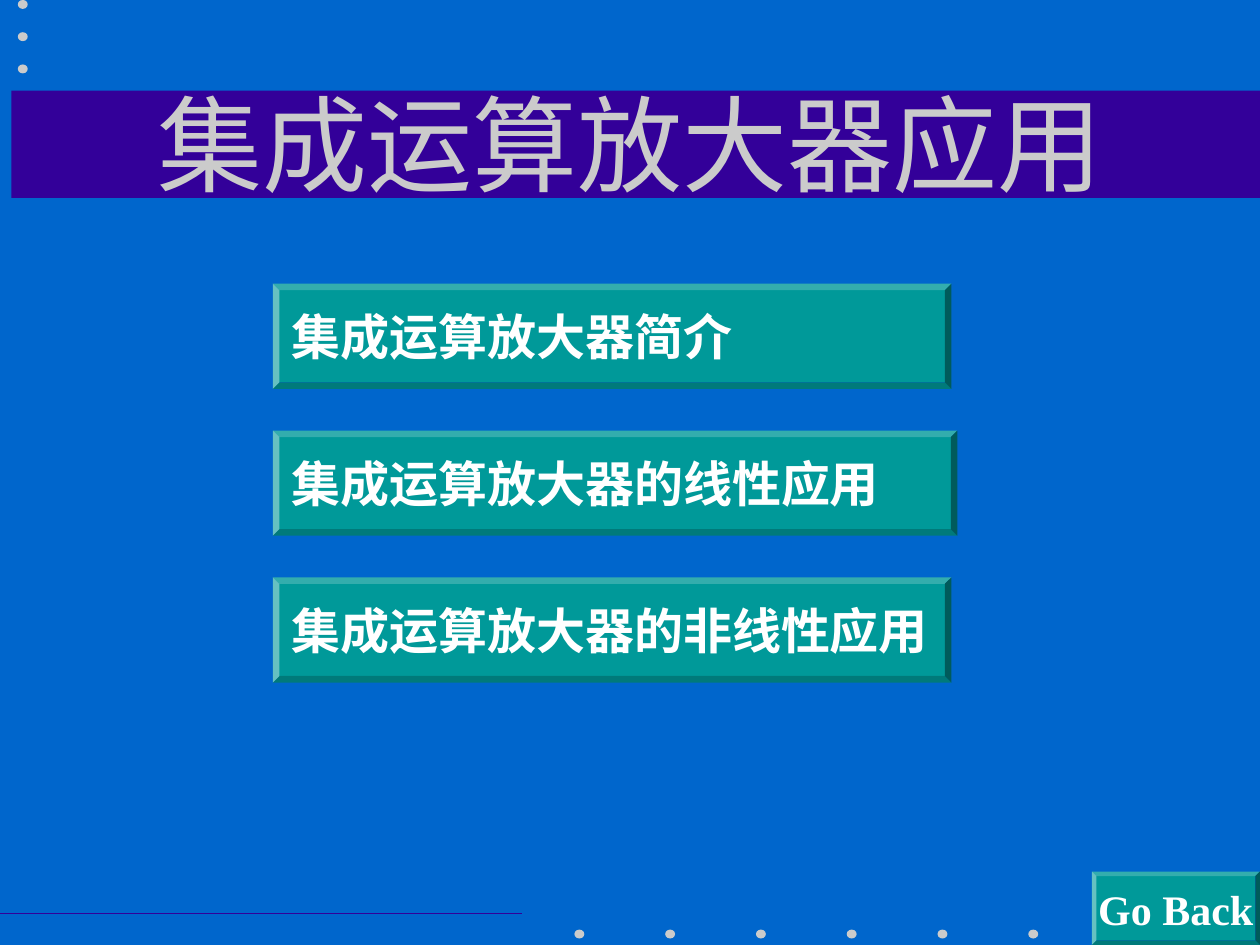
from pptx import Presentation
from pptx.dml.color import RGBColor
from pptx.enum.shapes import MSO_CONNECTOR as Line, MSO_SHAPE as Kind
from pptx.enum.text import MSO_ANCHOR as Anchor, MSO_AUTO_SIZE as Fit, PP_ALIGN as Align
from pptx.oxml.ns import qn
from pptx.util import Cm, Pt
from lxml import etree

BLUE, PURPLE, GREY = "0066CC", "330099", "CBCBCB"
TEAL, WHITE = "009999", "FFFFFF"
FONT = "Times New Roman"


def paint(target, tone):
    target.solid()
    target.fore_color.rgb = RGBColor.from_string(tone)


def add_shape(slide, kind, box, tone):
    shape = slide.shapes.add_shape(kind, *map(Cm, box))
    shape.shadow.inherit = False
    paint(shape.fill, tone)
    shape.line.fill.background()
    return shape


def set_text(shape, text, size, tone, align, anchor, bold=False, wrap=True):
    frame = shape.text_frame
    frame.text = text
    frame.word_wrap = wrap
    frame.auto_size = Fit.NONE
    frame.vertical_anchor = anchor
    para = frame.paragraphs[0]
    para.alignment = align
    font = para.runs[0].font
    font.name, font.size, font.bold = FONT, Pt(size), bold
    paint(font.fill, tone)


def add_dots(slide, left, top, count, dx=0, dy=0):
    for i in range(count):
        box = (left + i * dx, top + i * dy, 0.2, 0.18)
        add_shape(slide, Kind.OVAL, box, GREY)


def add_head(slide, left, top, width, height, text):
    add_shape(slide, Kind.RECTANGLE, (left, top, width, height), PURPLE)
    add_dots(slide, left + 0.13, top - 1.83, 3, dy=0.65)
    title = slide.shapes.title
    title.left, title.top = Cm(left + 1.68), Cm(top - 0.36)
    title.width, title.height = Cm(21.59), Cm(3.18)
    set_text(title, text, 60, GREY, Align.CENTER, Anchor.TOP)
    slide.shapes._spTree.append(title._element)


def add_button(slide, box, text, size, align):
    button = add_shape(slide, Kind.BEVEL, box, TEAL)
    button.adjustments[0] = 0.0625
    set_text(button, text, size, WHITE, align, Anchor.MIDDLE, bold=True, wrap=False)


def add_menu(slide, left, top, step, height, items):
    for i, (text, width) in enumerate(items):
        box = (left, top + i * step, width, height)
        add_button(slide, box, text, 28, Align.JUSTIFY)


def add_foot(slide, left, top, width, height):
    rule = slide.shapes.add_connector(
        Line.STRAIGHT, Cm(left), Cm(top), Cm(left + 10.52), Cm(top))
    rule.line.width = Pt(0.5)
    paint(rule.line.fill, PURPLE)
    etree.SubElement(rule._element.spPr, qn("a:effectLst"))
    add_dots(slide, left + 11.58, top + 0.33, 6, dx=1.83)
    wide, tall = 3.39, 1.48
    box = (left + width - wide, top + height - tall, wide, tall)
    add_button(slide, box, "Go Back", 24, Align.CENTER)


def main():
    deck = Presentation()
    deck.slide_width, deck.slide_height = Cm(25.4), Cm(19.05)
    slide = deck.slides.add_slide(deck.slide_layouts[5])
    paint(slide.background.fill, BLUE)
    add_head(slide, 0.23, 1.83, 25.17, 2.16, "集成运算放大器应用")
    add_menu(slide, 5.5, 5.72, 2.96, 2.12, [
        ("集成运算放大器简介", 13.68),
        ("集成运算放大器的线性应用", 13.8),
        ("集成运算放大器的非线性应用", 13.68),
    ])
    add_foot(slide, 0, 18.41, 25.4, 0.64)
    deck.save("out.pptx")


if __name__ == "__main__":
    main()
